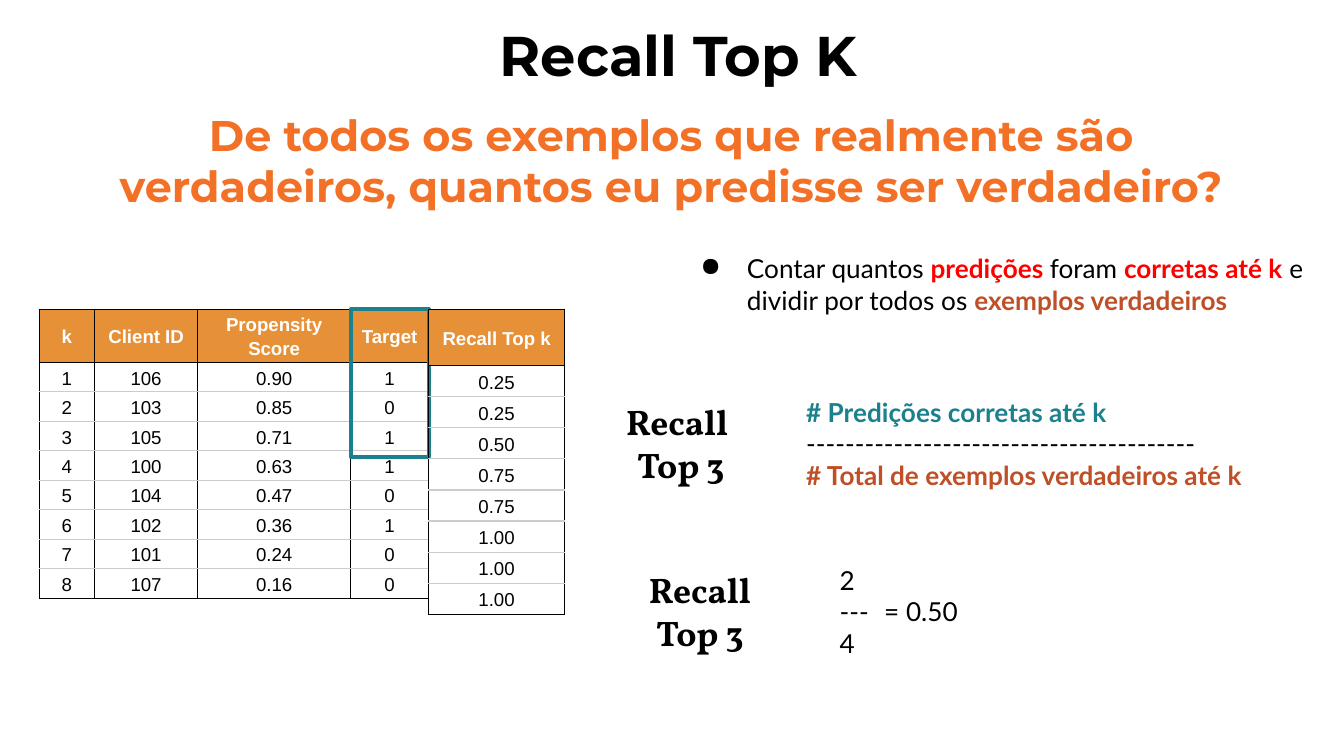
"""Build the Recall Top K slide with its ranking tables and worked formula."""

from dataclasses import dataclass

from lxml import etree
from pptx import Presentation
from pptx.dml.color import RGBColor
from pptx.enum.shapes import MSO_SHAPE
from pptx.enum.text import MSO_ANCHOR, PP_ALIGN
from pptx.oxml.ns import qn
from pptx.util import Pt

TOP, MIDDLE = MSO_ANCHOR.TOP, MSO_ANCHOR.MIDDLE
LEFT, CENTER = PP_ALIGN.LEFT, PP_ALIGN.CENTER
RECTANGLE = MSO_SHAPE.RECTANGLE

BLACK, WHITE, GREY = "000000", "FFFFFF", "CCCCCC"
ORANGE, HEADER_ORANGE = "F37126", "E69138"
RED, TEAL, RUST = "FF0000", "1B818D", "BF4F27"

TABLE_TOP = 165.6
ROW_HEIGHT = 15.8
INDENT = 36


@dataclass
class Span:
    text: str
    color: str = BLACK
    bold: bool = False


@dataclass
class TextBlock:
    left: float
    top: float
    width: float
    height: float
    paragraphs: list[list[Span]]
    font: str = "Lato"
    size: float = 14
    anchor: MSO_ANCHOR = TOP
    align: PP_ALIGN = LEFT
    indent: float = 0
    bullet: str = ""


@dataclass
class Ranking:
    left: float
    header_height: float
    widths: list[float]
    rows: list[list[str]]


def rgb(color: str) -> RGBColor:
    """Turn a hex string into a colour."""
    return RGBColor.from_string(color)


def style_run(run, font: str, size: float, color: str, bold: bool) -> None:
    """Set the font of one run."""
    run.font.name = font
    run.font.size = Pt(size)
    run.font.bold = bold
    run.font.color.rgb = rgb(color)


def indent_paragraph(paragraph, indent: float, bullet: str) -> None:
    """Indent a paragraph and hang its bullet, if any."""
    properties = paragraph._p.get_or_add_pPr()
    properties.set("marL", str(Pt(indent)))
    properties.set("indent", str(Pt(-25 if bullet else 0)))
    if bullet:
        bullet_color = etree.SubElement(properties, qn("a:buClr"))
        etree.SubElement(bullet_color, qn("a:srgbClr"), val=BLACK)
        etree.SubElement(properties, qn("a:buChar"), char=bullet)


def draw_text(slide, block: TextBlock) -> None:
    """Draw a text block with its formatted spans."""
    box = slide.shapes.add_textbox(
        Pt(block.left), Pt(block.top), Pt(block.width), Pt(block.height)
    )
    frame = box.text_frame
    frame.word_wrap = True
    frame.vertical_anchor = block.anchor
    frame.margin_left = frame.margin_right = Pt(7.2)
    frame.margin_top = frame.margin_bottom = Pt(7.2)
    for index, spans in enumerate(block.paragraphs):
        paragraph = frame.add_paragraph() if index else frame.paragraphs[0]
        paragraph.alignment = block.align
        if block.indent:
            indent_paragraph(paragraph, block.indent, block.bullet)
        for span in spans:
            run = paragraph.add_run()
            run.text = span.text
            style_run(run, block.font, block.size, span.color, span.bold)


def draw_borders(cell, top: str, bottom: str) -> None:
    """Give a cell black sides and the given top and bottom lines."""
    properties = cell._tc.get_or_add_tcPr()
    for side, color in (("L", BLACK), ("R", BLACK), ("T", top), ("B", bottom)):
        line = etree.SubElement(properties, qn(f"a:ln{side}"), w=str(Pt(0.75)))
        fill = etree.SubElement(line, qn("a:solidFill"))
        etree.SubElement(fill, qn("a:srgbClr"), val=color)


def draw_ranking(slide, ranking: Ranking) -> None:
    """Draw a ranking table with an orange header row."""
    last = len(ranking.rows) - 1
    table = slide.shapes.add_table(
        len(ranking.rows),
        len(ranking.widths),
        Pt(ranking.left),
        Pt(TABLE_TOP),
        Pt(sum(ranking.widths)),
        Pt(ranking.header_height + last * ROW_HEIGHT),
    ).table
    table.first_row = table.horz_banding = False
    for column, width in zip(table.columns, ranking.widths):
        column.width = Pt(width)
    for index, values in enumerate(ranking.rows):
        header = index == 0
        table.rows[index].height = Pt(ranking.header_height if header else ROW_HEIGHT)
        for cell, value in zip(table.rows[index].cells, values):
            cell.text_frame.text = value
            cell.vertical_anchor = MIDDLE
            cell.margin_left = cell.margin_right = Pt(2.16)
            cell.margin_top = cell.margin_bottom = Pt(1.44)
            paragraph = cell.text_frame.paragraphs[0]
            paragraph.alignment = CENTER
            paragraph.line_spacing = 1.15
            text_color = WHITE if header else BLACK
            style_run(paragraph.runs[0], "Arial", 10, text_color, header)
            draw_borders(
                cell,
                BLACK if index <= 1 else GREY,
                BLACK if index in (0, last) else GREY,
            )
            if header:
                cell.fill.solid()
                cell.fill.fore_color.rgb = rgb(HEADER_ORANGE)
            else:
                cell.fill.background()


def draw_highlight(slide, left: float, width: float, height: float) -> None:
    """Outline the targets counted up to k."""
    highlight = slide.shapes.add_shape(
        RECTANGLE, Pt(left), Pt(TABLE_TOP), Pt(width), Pt(height)
    )
    highlight.shadow.inherit = False
    highlight.fill.background()
    highlight.line.color.rgb = rgb(TEAL)
    highlight.line.width = Pt(2.25)


def recall_label(left: float, top: float, second_line: str) -> TextBlock:
    """Describe a two-line label beside a formula."""
    lines = [[Span(text, bold=True)] for text in ("Recall ", second_line)]
    return TextBlock(left, top, 124.6, 18, lines, "Vollkorn", 19, MIDDLE, CENTER)


QUESTION = (
    "De todos os exemplos que realmente são verdadeiros, "
    "quantos eu predisse ser verdadeiro?"
)
EXPLANATION = [
    Span("Contar quantos "),
    Span("predições ", RED, True),
    Span("foram "),
    Span("corretas até k", RED, True),
    Span(" e dividir por todos os "),
    Span("exemplos verdadeiros", RUST, True),
]
FORMULA = [
    [Span("# Predições corretas até k", TEAL, True)],
    [Span("-" * 40)],
    [Span("# Total de exemplos verdadeiros até k", RUST, True)],
]
FRACTION = [[Span("2")], [Span("---")], [Span("4")]]
TEXTS = [
    TextBlock(28.1, 3.6, 671, 50.4, [[Span("Recall Top K", bold=True)]],
              "Montserrat", 30, MIDDLE, CENTER),
    TextBlock(46.1, 53.3, 627.8, 64.8, [[Span(QUESTION, ORANGE, True)]],
              "Montserrat", 23, MIDDLE, CENTER),
    TextBlock(357.1, 128.2, 355.7, 64, [EXPLANATION], indent=INDENT, bullet="●"),
    TextBlock(388.8, 205.2, 303.8, 64, FORMULA, indent=INDENT),
    recall_label(302.4, 228.2, "Top 3"),
    recall_label(314.6, 318.2, "Top 3 "),
    TextBlock(406.8, 295.2, 74.2, 64, FRACTION, indent=INDENT),
    TextBlock(466.6, 318.2, 93.6, 18, [[Span("= 0.50")]], anchor=MIDDLE),
]

CLIENTS = ["106", "103", "105", "100", "104", "102", "101", "107"]
SCORES = ["0.90", "0.85", "0.71", "0.63", "0.47", "0.36", "0.24", "0.16"]
TARGETS = ["1", "0", "1", "1", "0", "1", "0", "0"]
RECALLS = ["0.25", "0.25", "0.50", "0.75", "0.75", "1.00", "1.00", "1.00"]
RANKS = [str(rank) for rank in range(1, len(CLIENTS) + 1)]
PREDICTIONS = Ranking(
    21.1, 27.4, [29.5, 55.4, 81.8, 42],
    [["k", "Client ID", "Propensity Score", "Target"],
     *map(list, zip(RANKS, CLIENTS, SCORES, TARGETS))],
)
RECALL_BY_K = Ranking(
    229.7, 30.2, [72.7], [["Recall Top k"], *([recall] for recall in RECALLS)]
)


def main() -> None:
    """Assemble and save the slide."""
    presentation = Presentation()
    presentation.slide_width, presentation.slide_height = Pt(720), Pt(405)
    slide = presentation.slides.add_slide(presentation.slide_layouts[6])
    draw_ranking(slide, PREDICTIONS)
    for block in TEXTS:
        draw_text(slide, block)
    draw_highlight(slide, 187.9, 41.8, 79.2)
    draw_ranking(slide, RECALL_BY_K)
    presentation.save("out.pptx")


if __name__ == "__main__":
    main()
